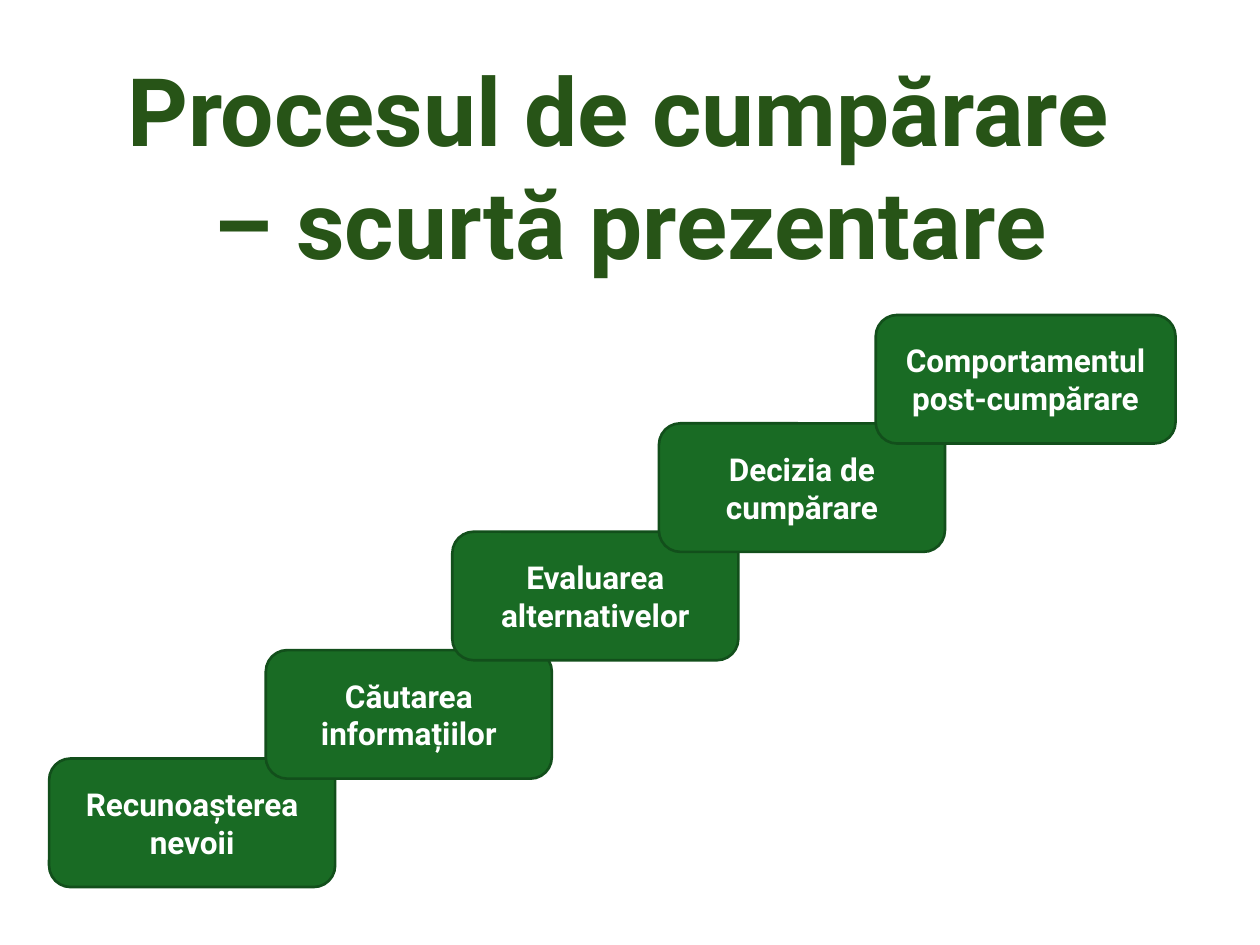
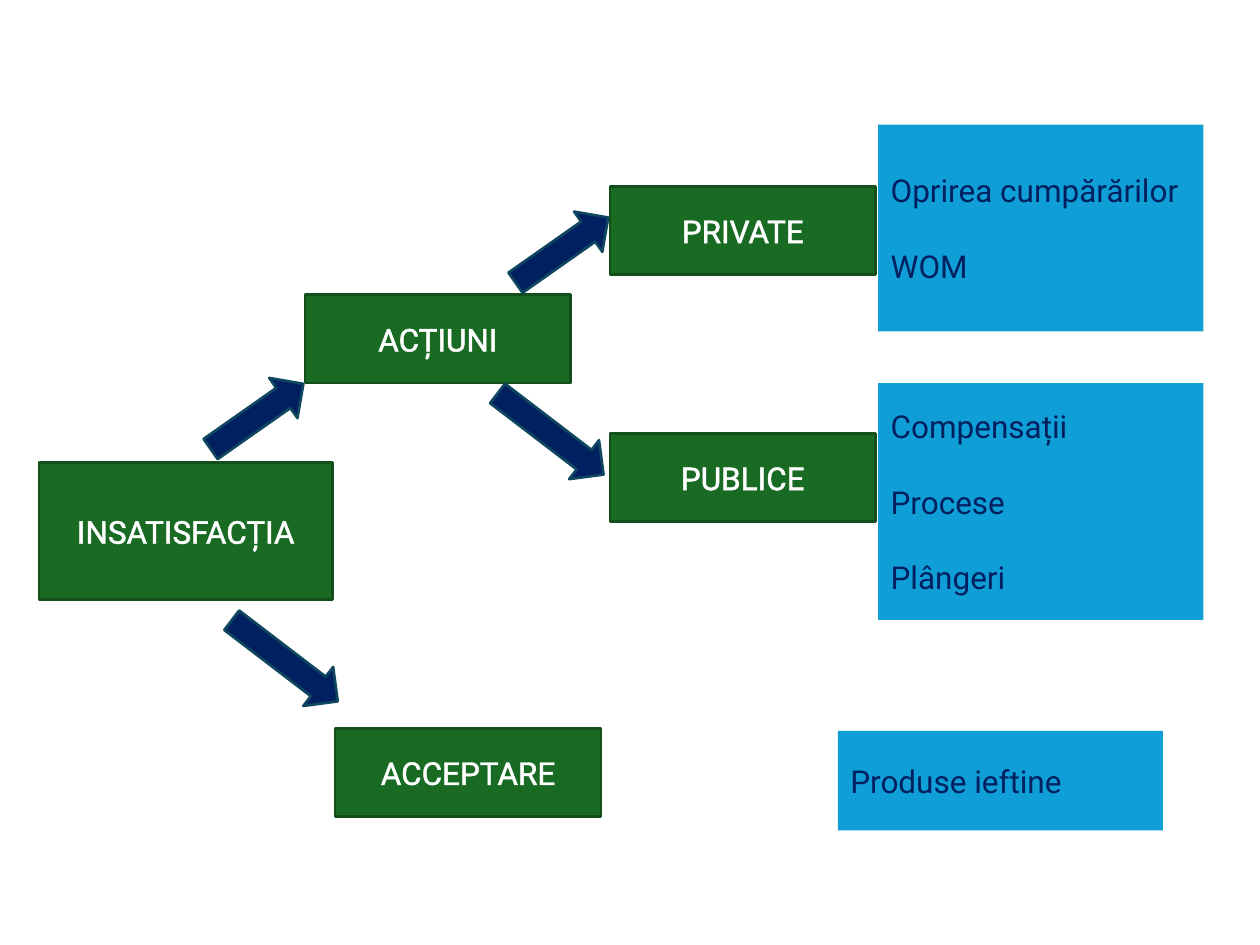
from lxml import etree
from pptx import Presentation
from pptx.dml.color import RGBColor as Rgb
from pptx.enum.shapes import MSO_SHAPE as Form
from pptx.enum.text import MSO_ANCHOR as Anchor
from pptx.enum.text import MSO_AUTO_SIZE as Fit
from pptx.enum.text import PP_ALIGN as Align
from pptx.oxml.ns import qn
from pptx.util import Inches, Pt

HUES = {
    "title": "275417", "halo": "FEFEFE", "white": "FFFFFF",
    "green": "196B24", "edge": "124F1B",
    "navy": "002060", "rim": "104760", "blue": "0F9ED5",
}
# Text styles: font values, paragraph values, colour and outline (hue, points)
TITLE = {
    "font": {"name": "Roboto", "size": Pt(54), "bold": True},
    "para": {"alignment": Align.CENTER}, "hue": "title", "line": ("halo", 1.5),
}
STEP = {
    "font": {"name": "Roboto", "size": Pt(18), "bold": True},
    "para": {"alignment": Align.CENTER}, "hue": "white", "line": None,
}
NODE = {
    "font": {"name": "Roboto", "size": Pt(18), "bold": False},
    "para": {"alignment": Align.CENTER}, "hue": "white", "line": ("white", 1.45),
}
LIST = {
    "font": {"name": "Roboto", "size": Pt(18), "bold": False},
    "para": {"alignment": Align.LEFT}, "hue": "navy", "line": None,
}


def color(hue):
    return Rgb.from_string(HUES[hue])


def put(item, values):
    for name, value in values.items():
        setattr(item, name, value)


def place(item, box):
    put(item, dict(zip(("left", "top", "width", "height"), map(Inches, box))))


def trace(run, hue, width):
    """Outline the letters of a run."""
    line = etree.Element(qn("a:ln"), w=str(int(Pt(width))))
    fill = etree.SubElement(line, qn("a:solidFill"))
    etree.SubElement(fill, qn("a:srgbClr"), val=HUES[hue])
    run.font._element.insert(0, line)


def write(frame, lines, style, gap=0):
    """Fill a text frame, with a gap in points between its lines."""
    frame.text = "\n".join(lines)
    for rank, para in enumerate(frame.paragraphs):
        put(para, style["para"])
        if rank and gap:
            para.space_before = Pt(gap)
        for run in para.runs:
            put(run.font, style["font"])
            run.font.color.rgb = color(style["hue"])
            if style["line"]:
                trace(run, *style["line"])


def block(slide, form, box, fill, edge=None):
    shape = slide.shapes.add_shape(form, *map(Inches, box))
    shape.shadow.inherit = False
    shape.fill.solid()
    shape.fill.fore_color.rgb = color(fill)
    if edge:
        shape.line.color.rgb = color(edge)
        shape.line.width = Pt(1.5)
    else:
        shape.line.fill.background()
    shape.text_frame.vertical_anchor = Anchor.MIDDLE
    return shape


def head(slide, box, lines):
    title = slide.shapes.title
    place(title, box)
    write(title.text_frame, lines, TITLE)
    put(title.text_frame, {"word_wrap": False, "vertical_anchor": Anchor.TOP,
                           "auto_size": Fit.SHAPE_TO_FIT_TEXT})


def stairs(slide, left, top):
    """Steps of the buying process, from the bottom up."""
    steps = [
        ("Recunoașterea nevoii", 0, 3.52, 2.27),
        ("Căutarea informațiilor", 1.72, 2.66, 2.27),
        ("Evaluarea alternativelor", 3.2, 1.72, 2.27),
        ("Decizia de cumpărare", 4.84, 0.86, 2.27),
        ("Comportamentul post-cumpărare", 6.56, 0, 2.38),
    ]
    for text, x, y, wide in steps:
        box = (left + x, top + y, wide, 1.02)
        step = block(slide, Form.ROUNDED_RECTANGLE, box, "green", "edge")
        write(step.text_frame, [text], STEP)


def tree(slide, left, top):
    """Reactions to dissatisfaction, joined by block arrows."""
    nodes = [
        ("INSATISFACȚIA", 0, 2.19, 2.33, 1.09),
        ("ACȚIUNI", 2.11, 0.86, 2.11, 0.7),
        ("ACCEPTARE", 2.35, 4.3, 2.11, 0.7),
        ("PRIVATE", 4.53, 0, 2.11, 0.7),
        ("PUBLICE", 4.53, 1.96, 2.11, 0.7),
    ]
    for text, x, y, wide, high in nodes:
        box = (left + x, top + y, wide, high)
        node = block(slide, Form.RECTANGLE, box, "green", "edge")
        write(node.text_frame, [text], NODE)

    # Arrows: length and turn
    rise, fall = (0.9, 324.9), (1.06, 37.4)
    arrows = [(1.28, 1.63, rise), (1.42, 3.57, fall),
              (3.7, 0.31, rise), (3.53, 1.77, fall)]
    for x, y, (length, turn) in arrows:
        box = (left + x, top + y, length, 0.39)
        block(slide, Form.RIGHT_ARROW, box, "navy", "rim").rotation = turn


def lists(slide, left, top):
    """Examples beside each reaction."""
    groups = [
        (0.32, 0, 1.64, ["Oprirea cumpărărilor", "WOM"]),
        (0.32, 2.05, 1.88, ["Compensații", "Procese", "Plângeri"]),
        (0, 4.81, 0.79, ["Produse ieftine"]),
    ]
    for x, y, high, lines in groups:
        box = (left + x, top + y, 2.58, high)
        panel = block(slide, Form.RECTANGLE, box, "blue")
        write(panel.text_frame, lines, LIST, gap=21.5)


def main():
    deck = Presentation()
    put(deck, {"slide_width": Inches(10), "slide_height": Inches(7.5)})

    # Buying process
    slide = deck.slides.add_slide(deck.slide_layouts.get_by_name("Title Only"))
    head(slide, (0.75, 0.36, 8.5, 1.92),
         ["Procesul de cumpărare ", "– scurtă prezentare"])
    stairs(slide, 0.39, 2.5)

    # Dissatisfaction
    slide = deck.slides.add_slide(deck.slide_layouts.get_by_name("Blank"))
    tree(slide, 0.31, 1.48)
    lists(slide, 6.65, 0.99)

    deck.save("out.pptx")


if __name__ == "__main__":
    main()
